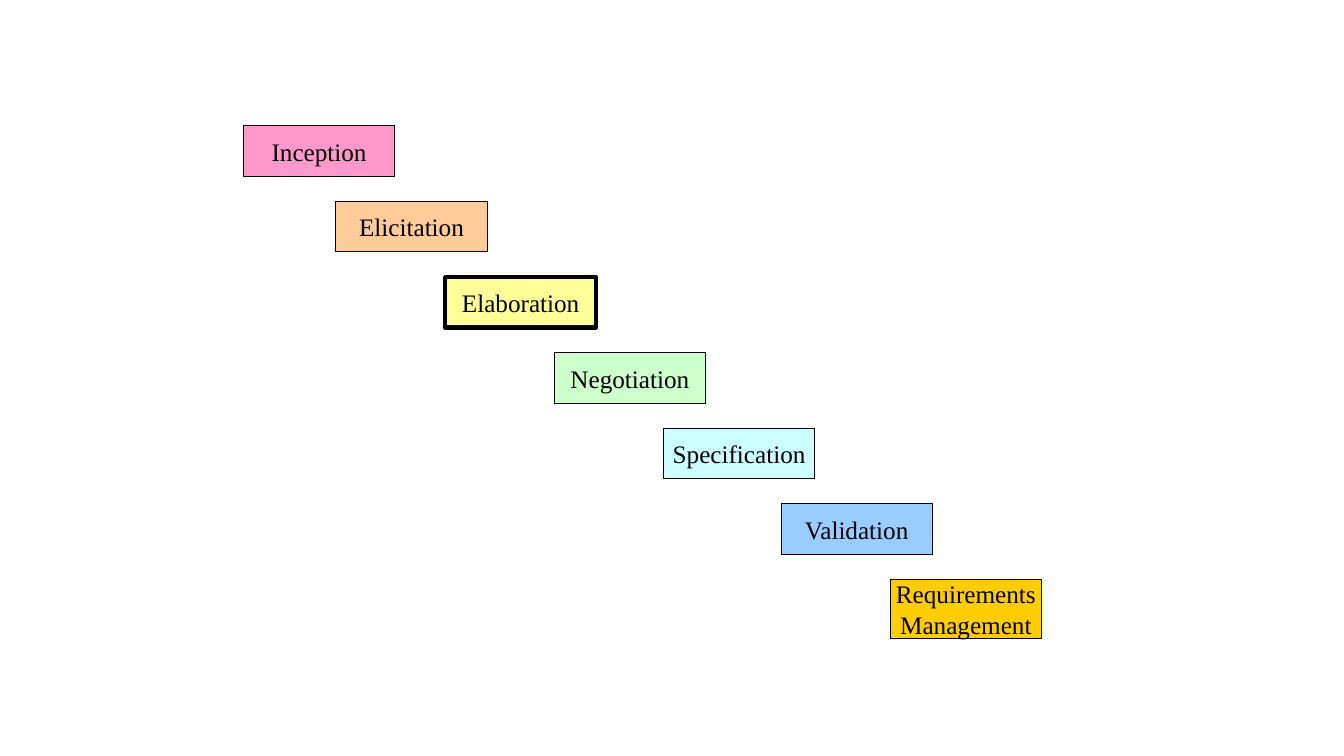
from pptx import Presentation
from pptx.dml.color import RGBColor as RGB
from pptx.enum.shapes import MSO_SHAPE as SHAPE
from pptx.enum.text import MSO_ANCHOR as ANCHOR, PP_ALIGN as ALIGN
from pptx.util import Pt

PX = 9525
COLORS = {
    "black": "000000",
    "pink": "FF99CC",
    "peach": "FFCC99",
    "yellow": "FFFF99",
    "green": "CCFFCC",
    "cyan": "CCFFFF",
    "blue": "99CCFF",
    "gold": "FFCC00",
}
BLACK = RGB.from_string(COLORS["black"])
FONT = {"name": "Times New Roman", "size": Pt(18)}
FRAME = {"word_wrap": False, "vertical_anchor": ANCHOR.MIDDLE}

FIRST_TOP, STEP_DOWN, BOX_WIDTH = 120, 72, 144
STAGES = [
    ("Inception", 232, 48, "pink", 0.75),
    ("Elicitation", 320, 48, "peach", 0.75),
    ("Elaboration", 424, 48, "yellow", 3),
    ("Negotiation", 528, 48, "green", 0.75),
    ("Specification", 632, 48, "cyan", 0.75),
    ("Validation", 744, 48, "blue", 0.75),
    ("Requirements\nManagement", 848, 56, "gold", 0.75),
]

presentation = Presentation()
presentation.slide_width = 1280 * PX
presentation.slide_height = 720 * PX
slide = presentation.slides.add_slide(presentation.slide_layouts[6])

for row, (label, left, height, color, line_width) in enumerate(STAGES):
    top = FIRST_TOP + row * STEP_DOWN
    shape = slide.shapes.add_shape(
        SHAPE.RECTANGLE, left * PX, top * PX, BOX_WIDTH * PX, height * PX
    )
    shape.shadow.inherit = False
    shape.fill.solid()
    shape.fill.fore_color.rgb = RGB.from_string(COLORS[color])
    shape.line.color.rgb = BLACK
    shape.line.width = Pt(line_width)

    frame = shape.text_frame
    frame.text = label
    for name, value in FRAME.items():
        setattr(frame, name, value)
    for paragraph in frame.paragraphs:
        paragraph.alignment = ALIGN.CENTER
        font = paragraph.runs[0].font
        font.color.rgb = BLACK
        for name, value in FONT.items():
            setattr(font, name, value)

presentation.save("out.pptx")
